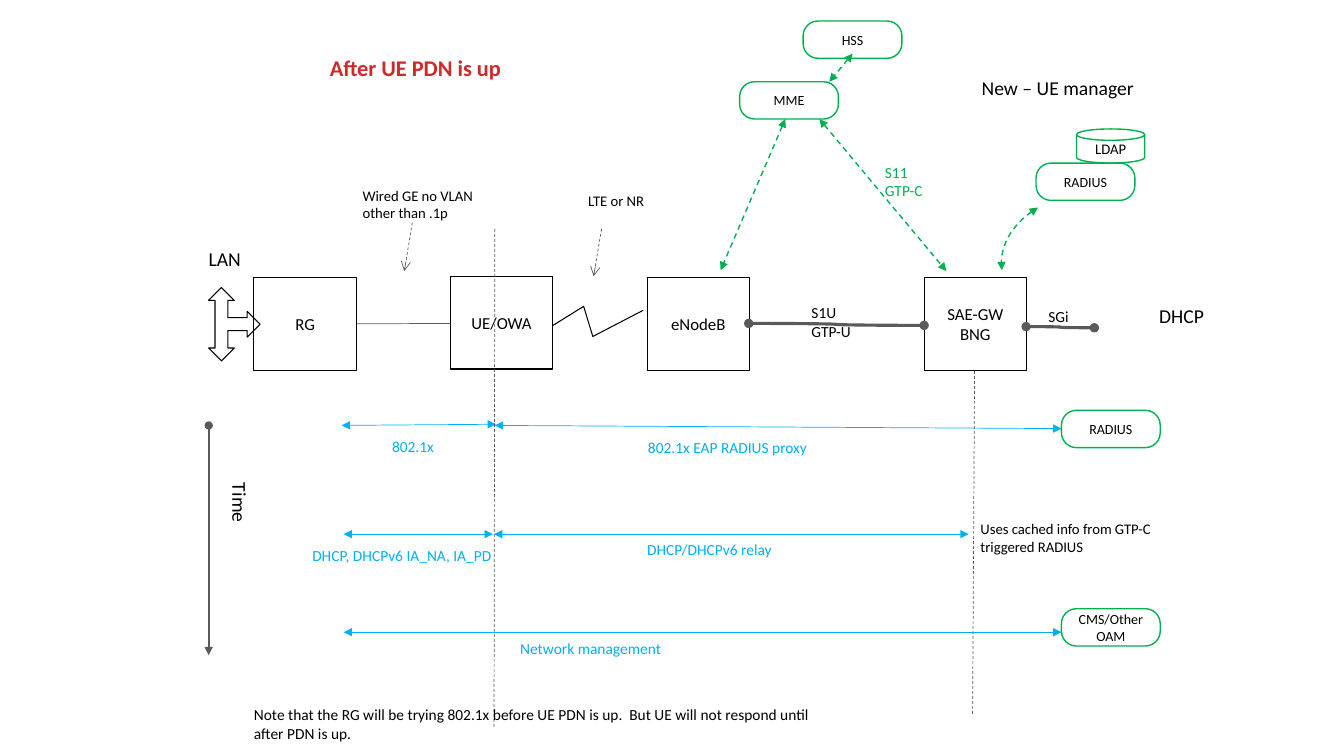
import pptx
import pptx.util
import pptx.dml.color
import pptx.enum.dml
import pptx.enum.shapes
import pptx.enum.text
import pptx.oxml
import pptx.oxml.ns

Cm = pptx.util.Cm
SHAPE = pptx.enum.shapes.MSO_SHAPE
CONNECTOR = pptx.enum.shapes.MSO_CONNECTOR
ANCHOR = pptx.enum.text.MSO_ANCHOR
ALIGN = pptx.enum.text.PP_ALIGN

COLORS = {
    "black": "000000",
    "gray": "5A5A5A",
    "green": "00B050",
    "blue": "00B0F0",
    "red": "CF2A2A",
}
FONT = "Calibri"


def rgb(name):
    return pptx.dml.color.RGBColor.from_string(COLORS[name])


def write_text(shape, text, size, color="black", align=ALIGN.LEFT,
               anchor=ANCHOR.TOP, bold=False):
    frame = shape.text_frame
    frame.text = text
    frame.word_wrap = True
    frame.auto_size = pptx.enum.text.MSO_AUTO_SIZE.NONE
    frame.vertical_anchor = anchor
    frame.margin_left = frame.margin_right = 0
    frame.margin_top = frame.margin_bottom = 0
    for para in frame.paragraphs:
        para.alignment = align
        for span in para.runs:
            span.font.name = FONT
            span.font.size = pptx.util.Pt(size)
            span.font.bold = bold
            span.font.color.rgb = rgb(color)


def style_line(shape, color, width, dashed=False, head=None, tail=None):
    line = shape.line
    line.color.rgb = rgb(color)
    line.width = pptx.util.Pt(width)
    if dashed:
        line.dash_style = pptx.enum.dml.MSO_LINE.DASH
    for tag, kind in (("a:headEnd", head), ("a:tailEnd", tail)):
        if kind:
            end = pptx.oxml.ns.qn(tag)
            line._get_or_add_ln().makeelement(end, {})
            element = pptx.oxml.parse_xml(
                f'<{tag} {pptx.oxml.ns.nsdecls("a")} type="{kind}"/>')
            line._get_or_add_ln().append(element)


def add_outline(page, kind, left, top, width, height, color="black", weight=0.75):
    shape = page.shapes.add_shape(kind, Cm(left), Cm(top), Cm(width), Cm(height))
    shape.shadow.inherit = False
    shape.fill.background()
    style_line(shape, color, weight)
    return shape


def add_node(page, text, left, top):
    box = add_outline(page, SHAPE.RECTANGLE, left, top, 2.58, 2.34)
    write_text(box, text, 12, align=ALIGN.CENTER, anchor=ANCHOR.MIDDLE)


def add_server(page, text, left, top):
    pill = add_outline(page, SHAPE.ROUNDED_RECTANGLE, left, top, 2.49, 0.94, "green", 1)
    pill.adjustments[0] = 0.4
    write_text(pill, text, 10, align=ALIGN.CENTER, anchor=ANCHOR.MIDDLE)


def add_label(page, text, left, top, width, height, size=11, color="black"):
    box = page.shapes.add_textbox(Cm(left), Cm(top), Cm(width), Cm(height))
    write_text(box, text, size, color)
    return box


def add_link(page, start, end, color, width, kind=CONNECTOR.STRAIGHT, **ends):
    link = page.shapes.add_connector(kind, *(Cm(v) for v in (*start, *end)))
    style_line(link, color, width, **ends)
    link._element.spPr.append(
        pptx.oxml.parse_xml(f'<a:effectLst {pptx.oxml.ns.nsdecls("a")}/>'))


def add_path(page, points, color, width, **ends):
    corners = [(Cm(x), Cm(y)) for x, y in points]
    builder = page.shapes.build_freeform(*corners[0])
    builder.add_line_segments(corners[1:], close=False)
    path = builder.convert_to_shape()
    path.shadow.inherit = False
    path.fill.background()
    style_line(path, color, width, **ends)


def curve_points(start, control1, control2, end, steps=24):
    for step in range(steps + 1):
        t = step / steps
        weights = ((1 - t) ** 3, 3 * t * (1 - t) ** 2, 3 * t * t * (1 - t), t ** 3)
        corners = (start, control1, control2, end)
        yield tuple(sum(w * c[axis] for w, c in zip(weights, corners)) for axis in (0, 1))


def main():
    deck = pptx.Presentation()
    deck.slide_width, deck.slide_height = Cm(33.87), Cm(19.05)
    page = deck.slides.add_slide(deck.slide_layouts[5])
    both = {"head": "triangle", "tail": "triangle"}

    # Title
    title = page.shapes.title
    title.left, title.top, title.width, title.height = Cm(8.31), Cm(1.37), Cm(5.28), Cm(1.83)
    write_text(title, "After UE PDN is up", 16, "red", bold=True)

    # Network nodes and the LAN arrow
    for text, left, top in (("RG", 6.4, 6.99), ("UE/OWA", 11.35, 6.96),
                            ("eNodeB", 16.31, 6.99), ("SAE-GW\nBNG", 23.29, 6.99)):
        add_node(page, text, left, top)
    lan = add_outline(page, SHAPE.LEFT_RIGHT_UP_ARROW, 4.98, 7.52, 1.85, 1.3)
    lan.rotation = 90

    # Links between the nodes
    add_link(page, (8.99, 8.16), (11.35, 8.15), "gray", 0.5)
    add_path(page, [(13.94, 8.2), (14.71, 7.72), (14.94, 8.48), (16.21, 7.82)],
             "black", 0.75)
    for start, end in (((18.87, 8.15), (23.29, 8.2)), ((25.86, 8.23), (27.58, 8.26))):
        add_link(page, start, end, "gray", 2.25, CONNECTOR.CURVE, head="oval", tail="oval")

    # Servers
    for text, left, top in (("MME", 18.64, 2.06), ("HSS", 20.24, 0.53),
                            ("RADIUS", 26.11, 4.11), ("RADIUS", 26.75, 10.34),
                            ("CMS/Other OAM", 26.75, 15.34)):
        add_server(page, text, left, top)
    disk = add_outline(page, SHAPE.FLOWCHART_MAGNETIC_DISK, 27.13, 3.25, 1.72, 0.86, "green", 1)
    write_text(disk, "LDAP", 10.5, align=ALIGN.CENTER, anchor=ANCHOR.MIDDLE)

    # Control signalling
    for start, end in (((20.65, 3), (23.85, 6.83)), ((19.79, 3), (18.16, 6.81)),
                       ((21.49, 1.35), (20.9, 2.06))):
        add_link(page, start, end, "green", 1, dashed=True, **both)
    add_path(page, list(curve_points((26.16, 5.23), (25.5, 5.64), (25.17, 6.2), (25.25, 6.81))),
             "green", 1, dashed=True, **both)

    # Message flows over time
    for start, end in (((8.61, 10.72), (12.5, 10.69)), ((12.47, 10.72), (26.75, 10.8)),
                       ((8.66, 13.46), (12.42, 13.46)), ((12.45, 13.46), (24.41, 13.46)),
                       ((8.66, 15.93), (26.75, 15.93))):
        add_link(page, start, end, "blue", 0.5, **both)
    for text, left, top in (("802.1x", 9.88, 11.02),
                            ("802.1x EAP RADIUS proxy", 16.33, 11.05),
                            ("DHCP, DHCPv6 IA_NA, IA_PD", 7.87, 13.77),
                            ("DHCP/DHCPv6 relay", 16.31, 13.61),
                            ("Network management", 13.11, 16.1)):
        add_label(page, text, left, top, 5.59, 0.43, color="blue")

    # Time axis and vertical guides
    add_link(page, (5.26, 10.72), (5.26, 16.51), "gray", 1.5, head="oval", tail="triangle")
    time = add_label(page, "Time", 5.77, 12.17, 0.58, 2.46, 14)
    time.text_frame._txBody.bodyPr.set("vert", "vert")
    add_link(page, (24.56, 9.35), (24.51, 18.01), "gray", 0.5, dashed=True)
    add_link(page, (12.47, 5.77), (12.45, 18.34), "gray", 0.5, dashed=True)

    # Remarks with pointers
    for start, end in (((10.39, 5.61), (10.19, 6.83)), ((15.16, 5.77), (14.96, 6.96))):
        add_link(page, start, end, "gray", 0.5, dashed=True, tail="arrow")
    for text, left, top, width, height in (
            ("Wired GE no VLAN other than .1p", 9.14, 4.7, 3.02, 0.71),
            ("LTE or NR", 13.92 + 0.9, 4.83, 3.02, 0.71),
            ("Uses cached info from GTP-C triggered RADIUS", 24.71, 13.11, 4.5, 0.61)):
        add_label(page, text, left, top, width, height, 10.5)

    # Interface names
    add_label(page, "S11\nGTP-C", 22.3, 4.11, 1.12, 0.36, color="green")
    add_label(page, "S1U GTP-U", 20.45, 7.65, 1.12, 0.36)
    add_label(page, "SGi", 26.42, 7.75, 1.12, 0.36)

    # Headings and closing note
    add_label(page, "LAN", 5.26, 6.22, 1.09, 0.43, 14)
    add_label(page, "New – UE manager", 24.74, 1.91, 4.17, 0.84, 14)
    add_label(page, "DHCP", 29.21, 7.67, 1.57, 1.63, 14)
    add_label(page, "Note that the RG will be trying 802.1x before UE PDN is up.  "
              "But UE will not respond until after PDN is up.", 6.4, 17.78, 14.5, 0.84)

    deck.save("out.pptx")


main()
